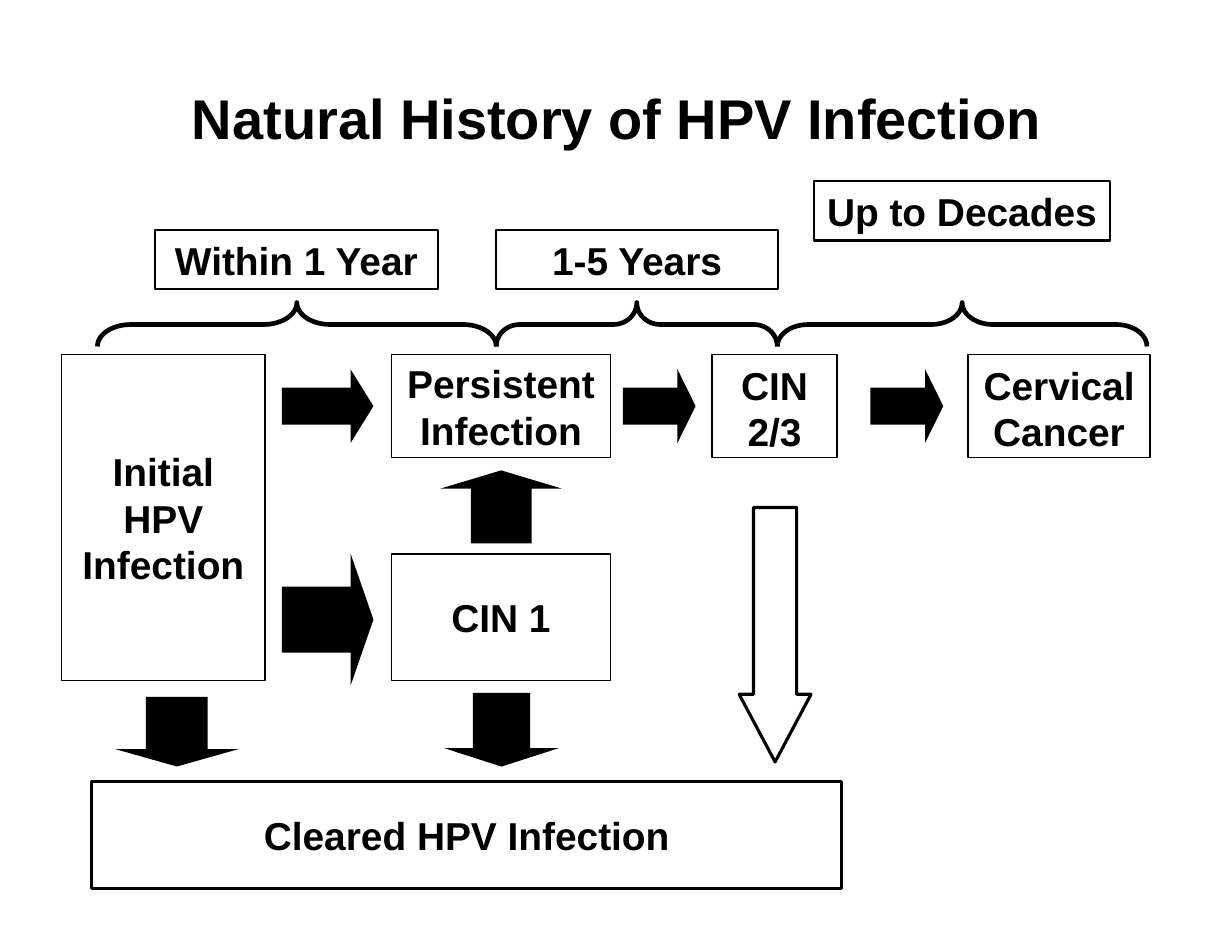
from itertools import pairwise

from pptx import Presentation
from pptx.dml.color import RGBColor
from pptx.enum.shapes import MSO_SHAPE as SHAPE
from pptx.enum.text import MSO_ANCHOR as ANCHOR, PP_ALIGN as ALIGN
from pptx.util import Pt

COLORS = {"ink": "000000", "paper": "FFFFFF"}

prs = Presentation()
prs.slide_width, prs.slide_height = Pt(792), Pt(612)
slide = prs.slides.add_slide(prs.slide_layouts[6])


def add_figure(kind, left, top, width, height, fill=None, line=None):
    """Add a preset shape; fill is a colour name, line a width in points."""
    figure = slide.shapes.add_shape(kind, Pt(left), Pt(top), Pt(width), Pt(height))
    figure.shadow.inherit = False
    if fill:
        figure.fill.solid()
        figure.fill.fore_color.rgb = RGBColor.from_string(COLORS[fill])
    else:
        figure.fill.background()
    if line:
        figure.line.color.rgb = RGBColor.from_string(COLORS["ink"])
        figure.line.width = Pt(line)
    else:
        figure.line.fill.background()
    return figure


def write(box, text, size=25, anchor=ANCHOR.MIDDLE, wrap=True):
    frame = box.text_frame
    frame.word_wrap = wrap
    frame.vertical_anchor = anchor
    frame.margin_left = frame.margin_right = Pt(7.9)
    frame.margin_top = frame.margin_bottom = Pt(4.3)
    frame.text = text
    for paragraph in frame.paragraphs:
        paragraph.alignment = ALIGN.CENTER
        paragraph.font.name = "Arial"
        paragraph.font.size = Pt(size)
        paragraph.font.bold = True
        paragraph.font.color.rgb = RGBColor.from_string(COLORS["ink"])


title = slide.shapes.add_textbox(Pt(24.5), Pt(48.2), Pt(743.8), Pt(54))
write(title, "Natural History of HPV Infection", size=36)

# Time spans: neighbouring braces share an end, and each curve is 1/12 of its span
brace_top, brace_depth = 194.5, 28.2
for start, end in pairwise([62.6, 319, 499.7, 737.3]):
    span = end - start
    brace = add_figure(
        SHAPE.LEFT_BRACE,
        (start + end - brace_depth) / 2,
        brace_top + (brace_depth - span) / 2,
        brace_depth, span, line=3,
    )
    brace.rotation = 90
    brace.adjustments[0] = span / 12 / brace_depth

for period, left, top, width in [
    ("Within 1 Year", 99.5, 147.8, 182),
    ("1-5 Years", 318.8, 147.8, 181.6),
    ("Up to Decades", 523.3, 116.5, 190.2),
]:
    label = add_figure(SHAPE.RECTANGLE, left, top, width, 38.2, line=1.5)
    write(label, period, anchor=ANCHOR.TOP, wrap=False)

# Stages of the disease
stage_top, stage_height = 228, 66.2
for stage, left, top, width, height, anchor in [
    ("Initial\vHPV Infection", 39.5, stage_top, 131, 209.6, ANCHOR.MIDDLE),
    ("Persistent\nInfection", 251.6, stage_top, 141, stage_height, ANCHOR.MIDDLE),
    ("CIN 2/3", 457.8, stage_top, 80.2, stage_height, ANCHOR.TOP),
    ("Cervical Cancer", 622.2, stage_top, 117.3, stage_height, ANCHOR.TOP),
    ("CIN 1", 251.6, 356.2, 141, 81.4, ANCHOR.MIDDLE),
]:
    write(add_figure(SHAPE.RECTANGLE, left, top, width, height, "paper", 1),
          stage, anchor=anchor)

cleared = add_figure(SHAPE.RECTANGLE, 58.8, 502.4, 482.4, 69, line=2)
write(cleared, "Cleared HPV Infection")

# Progression and clearance
for kind, left, top, width, height, head in [
    (SHAPE.RIGHT_ARROW, 181.3, 237.4, 58.8, 47.4, 0.31),
    (SHAPE.RIGHT_ARROW, 400.4, 237.4, 46.8, 47.4, 0.25),
    (SHAPE.RIGHT_ARROW, 559.6, 237.4, 46.8, 47.4, 0.25),
    (SHAPE.RIGHT_ARROW, 181.3, 355.8, 58.8, 85, 0.25),
    (SHAPE.UP_ARROW, 283.2, 302.4, 78, 47, 0.25),
    (SHAPE.DOWN_ARROW, 285.6, 445.5, 73.6, 47.3, 0.25),
    (SHAPE.DOWN_ARROW, 74, 448, 79.4, 44.8, 0.25),
]:
    arrow = add_figure(kind, left, top, width, height, fill="ink")
    arrow.adjustments[1] = head

regression = add_figure(SHAPE.DOWN_ARROW, 475.2, 326.2, 46.2, 163.6, line=2)
regression.adjustments[0] = 0.6
regression.adjustments[1] = 0.94

prs.save("out.pptx")
